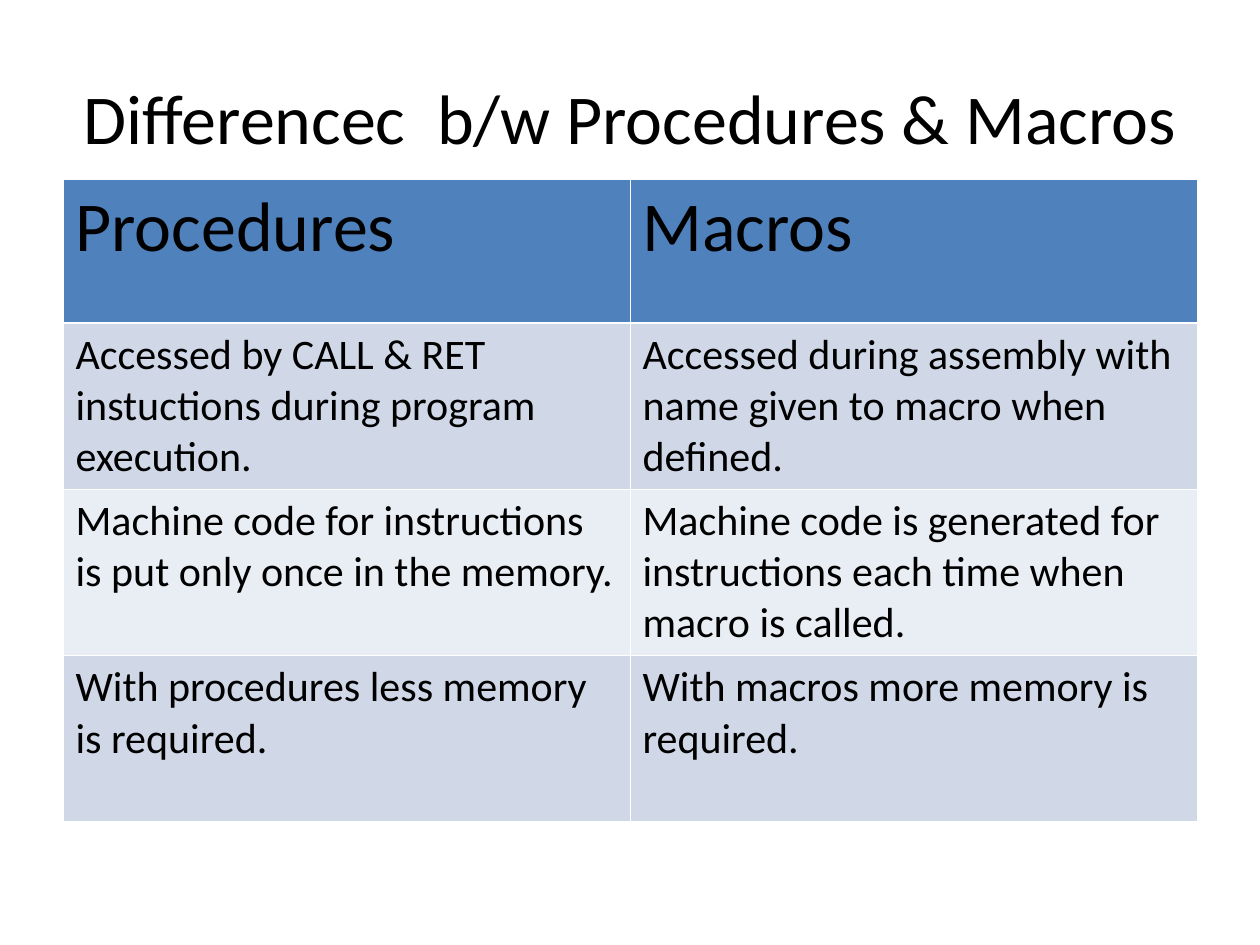
from lxml.etree import SubElement
from pptx import Presentation
from pptx.dml.color import RGBColor
from pptx.enum.text import MSO_ANCHOR, PP_ALIGN
from pptx.oxml.ns import qn
from pptx.util import Pt

PX = 914400 // 126
FONT = "Calibri"
BLACK, WHITE = "000000", "FFFFFF"
HEADER_FILL = "4F81BD"
BAND_FILLS = ["D0D8E8", "E9EDF4"]
THIN, THICK = 0.45, 1.47
ROWS = [
    ("Procedures", "Macros"),
    ("Accessed by CALL & RET instuctions during program execution.",
     "Accessed during assembly with name given to macro when defined."),
    ("Machine code for instructions is put only once in the memory.",
     "Machine code is generated for instructions each time when macro is called."),
    ("With procedures less memory is required.",
     "With macros more memory is required."),
]


def px(length):
    return length * PX


def color(value):
    return RGBColor.from_string(value)


def style_text(frame, size, align):
    for para in frame.paragraphs:
        para.alignment = align
        for span in para.runs:
            span.font.name = FONT
            span.font.size = Pt(size)
            span.font.bold = False
            span.font.color.rgb = color(BLACK)


def add_border(cell, side, width):
    line = SubElement(cell._tc.get_or_add_tcPr(), qn(f"a:{side}"), w=str(Pt(width)))
    fill = SubElement(line, qn("a:solidFill"))
    SubElement(fill, qn("a:srgbClr"), val=WHITE)


def style_cell(cell, row):
    for side in ("lnL", "lnR", "lnT", "lnB"):
        under_header = (row, side) in ((0, "lnB"), (1, "lnT"))
        add_border(cell, side, THICK if under_header else THIN)
    cell.fill.solid()
    cell.fill.fore_color.rgb = color(BAND_FILLS[(row - 1) % 2] if row else HEADER_FILL)
    cell.margin_left = cell.margin_right = Pt(7.2)
    cell.margin_top = cell.margin_bottom = Pt(3.6)
    style_text(cell.text_frame, 24 if row else 40, PP_ALIGN.LEFT)


def place_title(page, left, top, width, height):
    title = page.shapes.title
    title.left, title.top = px(left), px(top)
    title.width, title.height = px(width), px(height)
    frame = title.text_frame
    frame.text = "Differencec  b/w Procedures & Macros"
    frame.word_wrap = True
    frame.vertical_anchor = MSO_ANCHOR.MIDDLE
    style_text(frame, 40, PP_ALIGN.CENTER)


def add_comparison(page, left, top, width, header_height, row_height):
    height = header_height + row_height * (len(ROWS) - 1)
    table = page.shapes.add_table(
        len(ROWS), len(ROWS[0]), px(left), px(top), px(width), px(height)).table
    for column in table.columns:
        column.width = px(width // len(ROWS[0]))
    for row, texts in enumerate(ROWS):
        table.rows[row].height = px(row_height if row else header_height)
        for column, text in enumerate(texts):
            cell = table.cell(row, column)
            cell.text = text
            style_cell(cell, row)


def main():
    deck = Presentation()
    deck.slide_width, deck.slide_height = px(1260), px(945)
    page = deck.slides.add_slide(deck.slide_layouts[5])
    place_title(page, 63, 38, 1134, 158)
    add_comparison(page, 63, 179, 1134, 144, 166)
    deck.save("out.pptx")


if __name__ == "__main__":
    main()
